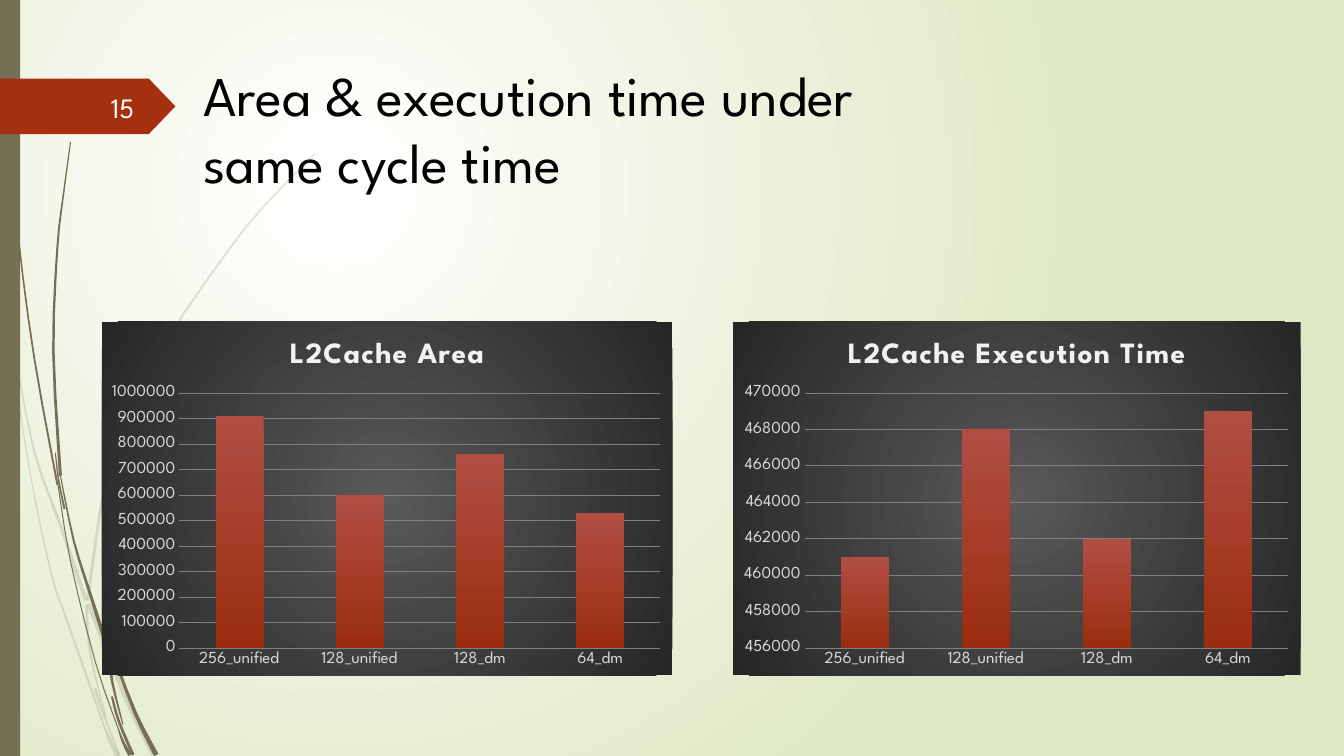
"""Build the slide comparing L2 cache area and execution time."""
import math
from dataclasses import dataclass

from lxml import etree
from pptx import Presentation
from pptx import util as u
from pptx.chart.data import CategoryChartData
from pptx.dml.color import RGBColor
from pptx.enum import chart as charts, shapes, text
from pptx.oxml import parse_xml
from pptx.oxml.ns import nsdecls, qn

COLUMN = ROW = u.Inches(1)
COLUMNS, ROWS = 13.33, 7.5
FONT = "League Spartan"
OLIVE = RGBColor(0x76, 0x6F, 0x54)
RUST = RGBColor(0xA5, 0x30, 0x10)
BLACK = RGBColor(0, 0, 0)
WHITE = RGBColor(0xFF, 0xFF, 0xFF)
NUMBER_WHITE = RGBColor(0xFE, 0xFF, 0xFF)
PALE_GREEN = RGBColor(0xDF, 0xE8, 0xC4)
PANEL_INNER = RGBColor(0x59, 0x59, 0x59)
PANEL_OUTER = RGBColor(0x26, 0x26, 0x26)
BAR_TOP = RGBColor(0xB1, 0x4E, 0x43)
BAR_BOTTOM = RGBColor(0x9A, 0x2D, 0x0F)
TITLE_GREY = RGBColor(0xF2, 0xF2, 0xF2)
LABEL_GREY = RGBColor(0xD9, 0xD9, 0xD9)
GRID_GREY = RGBColor(0x80, 0x80, 0x80)
CATEGORIES = ("256_unified", "128_unified", "128_dm", "64_dm")
DOWNWARD = '<a:lin ang="5400000" scaled="0"/>'


@dataclass(frozen=True)
class Box:
    """Place on the grid, in columns and rows."""
    left: float
    top: float
    width: float
    height: float

    def emu(self) -> tuple[int, int, int, int]:
        """Return left, top, width and height as lengths."""
        return (round(self.left * COLUMN), round(self.top * ROW),
                round(self.width * COLUMN), round(self.height * ROW))


@dataclass(frozen=True)
class Wisp:
    """Tapering blade of grass that follows a centre line."""
    points: tuple[tuple[float, float], ...]
    start_width: float
    end_width: float
    opacity: int = 100


@dataclass(frozen=True)
class BarPanel:
    """Column chart with its scale and plot area."""
    title: str
    box: Box
    values: tuple[int, ...]
    minimum: int
    maximum: int
    step: int
    plot: Box


WISPS = (
    Wisp(((0, 2.9), (0.06, 3.2), (0.11, 3.5)), 0.04, 0.01, 20),
    Wisp(((0.14, 3.45), (0.34, 4.48), (0.6, 5.21), (0.85, 5.95)), 0.01, 0.04, 20),
    Wisp(((0.88, 5.99), (1.25, 6.93), (1.53, 7.5)), 0.04, 0.05, 20),
    Wisp(((0.11, 3.5), (0.3, 4.7), (0.51, 5.7), (0.68, 6.2), (1.01, 7.14)),
         0.01, 0.02, 20),
    Wisp(((3.12, 1.53), (2.68, 1.98), (2.29, 2.45), (1.59, 3.49), (1.09, 4.62),
          (0.87, 5.96)), 0.01, 0.03, 20),
    Wisp(((0.86, 6), (0.89, 6.46), (1.05, 7.11)), 0.03, 0.01, 20),
    Wisp(((0.94, 6.83), (1.04, 7.12), (1.19, 7.5)), 0.03, 0.01, 20),
    Wisp(((1.01, 7.14), (1.08, 7.32), (1.17, 7.5)), 0.01, 0.05, 20),
    Wisp(((0.04, 0), (0.08, 1.1), (0.18, 2.33), (0.34, 3.55), (0.57, 4.81)),
         0.01, 0.02),
    Wisp(((0.6, 4.72), (0.73, 5.36), (0.9, 5.91), (1.06, 6.41)), 0.01, 0.04),
    Wisp(((1.1, 6.43), (1.34, 7.07), (1.55, 7.49)), 0.02, 0.05),
    Wisp(((0.57, 4.77), (0.7, 5.57), (0.95, 6.58), (1.17, 7.22)), 0.01, 0.01),
    Wisp(((0.7, 1.41), (0.63, 1.93), (0.57, 2.45), (0.53, 3.49), (0.6, 4.72)),
         0.01, 0.03),
    Wisp(((0.55, 4.49), (0.58, 4.75), (0.64, 5.05)), 0.01, 0.02),
    Wisp(((2.61, 3.44), (2.31, 3.74), (2.04, 4.06), (1.57, 4.75), (1.24, 5.51),
          (1.08, 6.38)), 0.01, 0.04),
    Wisp(((1.08, 6.42), (1.11, 6.75), (1.22, 7.19)), 0.04, 0.01),
    Wisp(((1.11, 6.91), (1.18, 7.16), (1.32, 7.49)), 0.02, 0.03),
    Wisp(((1.17, 7.22), (1.22, 7.36), (1.29, 7.49)), 0.01, 0.04),
)
PANELS = (
    BarPanel("L2Cache Execution Time", Box(7.27, 3.19, 5.63, 3.51),
             (461000, 468000, 462000, 469000), 456000, 470000, 2000,
             Box(0.71, 0.71, 4.8, 2.53)),
    BarPanel("L2Cache Area", Box(1.01, 3.19, 5.66, 3.51),
             (910000, 600000, 760000, 530000), 0, 1000000, 100000,
             Box(0.77, 0.71, 4.77, 2.53)),
)


def radial(left: int, top: int, right: int, bottom: int) -> str:
    """Return the XML of a circular gradient focus, in percent."""
    return (f'<a:path path="circle"><a:fillToRect l="{left}000" t="{top}000" '
            f'r="{right}000" b="{bottom}000"/></a:path>')


def gradient(first: RGBColor, last: RGBColor, direction: str):
    """Return a two-stop gradient fill element."""
    return parse_xml(
        f'<a:gradFill {nsdecls("a")} rotWithShape="1"><a:gsLst>'
        f'<a:gs pos="0"><a:srgbClr val="{first}"/></a:gs>'
        f'<a:gs pos="100000"><a:srgbClr val="{last}"/></a:gs>'
        f'</a:gsLst>{direction}</a:gradFill>')


def swap_fill(element, fill) -> None:
    """Replace the first solid fill below an element."""
    solid = element.find(f".//{qn('a:solidFill')}")
    solid.getparent().replace(solid, fill)


def paint(shape, color: RGBColor) -> None:
    """Give a shape a plain fill without line or shadow."""
    shape.shadow.inherit = False
    shape.fill.solid()
    shape.fill.fore_color.rgb = color
    shape.line.fill.background()


def style_font(font, size: float, color: RGBColor) -> None:
    """Set typeface, size and colour."""
    font.name, font.size = FONT, u.Pt(size)
    font.color.rgb = color


def smooth(points: tuple, steps: int = 3) -> list[tuple[float, float]]:
    """Return a Catmull-Rom curve through the points."""
    padded = (points[0], *points, points[-1])
    curve = []
    for index in range(len(points) - 1):
        a, b, c, d = padded[index:index + 4]
        for t in (step / steps for step in range(steps)):
            curve.append(tuple(
                (2 * q + (r - p) * t + (2 * p - 5 * q + 4 * r - s) * t ** 2
                 + (3 * q - p - 3 * r + s) * t ** 3) / 2
                for p, q, r, s in zip(a, b, c, d)))
    return curve + [points[-1]]


def add_wisp(slide, wisp: Wisp) -> None:
    """Draw one blade as a closed outline."""
    curve = smooth(wisp.points)
    last = len(curve) - 1
    left_side, right_side = [], []
    for index, (x, y) in enumerate(curve):
        before, after = curve[max(index - 1, 0)], curve[min(index + 1, last)]
        angle = math.atan2(after[1] - before[1], after[0] - before[0])
        growth = (wisp.end_width - wisp.start_width) * index / last
        half = (wisp.start_width + growth) / 2
        across, down = -math.sin(angle) * half, math.cos(angle) * half
        left_side.append(((x + across) * COLUMN, (y + down) * ROW))
        right_side.append(((x - across) * COLUMN, (y - down) * ROW))
    outline = left_side + right_side[::-1]
    builder = slide.shapes.build_freeform(*outline[0])
    builder.add_line_segments(outline[1:], close=True)
    shape = builder.convert_to_shape()
    paint(shape, OLIVE)
    if wisp.opacity < 100:
        color = shape._element.spPr.find(f".//{qn('a:srgbClr')}")
        etree.SubElement(color, qn("a:alpha")).set("val", f"{wisp.opacity}000")


def add_panel(slide, panel: BarPanel) -> None:
    """Draw one column chart on its dark panel."""
    data = CategoryChartData()
    data.categories = CATEGORIES
    data.add_series("Series 1", panel.values)
    chart = slide.shapes.add_chart(
        charts.XL_CHART_TYPE.COLUMN_STACKED, *panel.box.emu(), data).chart
    style_font(chart.font, 12, LABEL_GREY)
    chart.has_legend = False
    run = chart.chart_title.text_frame.paragraphs[0].add_run()
    run.text = panel.title
    style_font(run.font, 21, TITLE_GREY)
    run.font.bold = True
    run._r.get_or_add_rPr().set("spc", "90")
    for axis in (chart.category_axis, chart.value_axis):
        axis.major_tick_mark = axis.minor_tick_mark = charts.XL_TICK_MARK.NONE
        axis.format.line.fill.background()
        style_font(axis.tick_labels.font, 12, LABEL_GREY)
    scale = chart.value_axis
    scale.minimum_scale, scale.maximum_scale = panel.minimum, panel.maximum
    scale.major_unit = panel.step
    scale.major_gridlines.format.line.width = u.Pt(0.75)
    scale.major_gridlines.format.line.color.rgb = GRID_GREY
    plot = chart.plots[0]
    plot.gap_width, plot.overlap, plot.vary_by_categories = 150, 100, False
    bars = plot.series[0]
    bars.format.fill.solid()
    swap_fill(bars._element, gradient(BAR_TOP, BAR_BOTTOM, DOWNWARD))
    root = chart._chartSpace
    frame = parse_xml(f'<c:spPr {nsdecls("c", "a")}><a:ln><a:noFill/></a:ln></c:spPr>')
    frame.insert(0, gradient(PANEL_INNER, PANEL_OUTER, radial(50, 50, 50, 50)))
    root.find(qn("c:chart")).addnext(frame)
    area = root.find(f".//{qn('c:plotArea')}")
    for old in area.findall(qn("c:layout")):
        area.remove(old)
    place, box = panel.plot, panel.box
    area.insert(0, parse_xml(
        f'<c:layout {nsdecls("c")}><c:manualLayout><c:layoutTarget val="inner"/>'
        f'<c:xMode val="edge"/><c:yMode val="edge"/><c:x val="{place.left / box.width}"/>'
        f'<c:y val="{place.top / box.height}"/><c:w val="{place.width / box.width}"/>'
        f'<c:h val="{place.height / box.height}"/></c:manualLayout></c:layout>'))


def write(shape, box: Box, words: str, size: float, color: RGBColor,
          align: text.PP_ALIGN, anchor: text.MSO_ANCHOR) -> None:
    """Place a text shape and fill it with one run."""
    shape.left, shape.top, shape.width, shape.height = box.emu()
    frame = shape.text_frame
    frame.word_wrap, frame.vertical_anchor = True, anchor
    frame.auto_size = text.MSO_AUTO_SIZE.NONE
    paragraph = frame.paragraphs[0]
    paragraph.alignment = align
    run = paragraph.add_run()
    run.text = words
    style_font(run.font, size, color)


def main() -> None:
    """Build and save the presentation."""
    presentation = Presentation()
    presentation.slide_width = round(COLUMNS * COLUMN)
    presentation.slide_height = round(ROWS * ROW)
    slide = presentation.slides.add_slide(presentation.slide_layouts[5])
    slide.background.fill.solid()
    swap_fill(slide._element, gradient(WHITE, PALE_GREEN, radial(50, 50, 100, 100)))
    for wisp in WISPS:
        add_wisp(slide, wisp)
    kinds = shapes.MSO_SHAPE
    paint(slide.shapes.add_shape(kinds.RECTANGLE, *Box(0, 0, 0.2, ROWS).emu()), OLIVE)
    tag = slide.shapes.add_shape(kinds.PENTAGON, *Box(0, 0.78, 1.74, 0.55).emu())
    paint(tag, RUST)
    tag.adjustments[0] = 0.48
    write(slide.shapes.title, Box(1.92, 0.55, 7.6, 1.45),
          "Area & execution time under same cycle time", 40, BLACK,
          text.PP_ALIGN.LEFT, text.MSO_ANCHOR.TOP)
    number = Box(0.58, 0.86, 0.85, 0.4)
    write(slide.shapes.add_textbox(*number.emu()), number, "15", 20, NUMBER_WHITE,
          text.PP_ALIGN.RIGHT, text.MSO_ANCHOR.MIDDLE)
    for panel in PANELS:
        add_panel(slide, panel)
    presentation.save("out.pptx")


main()
